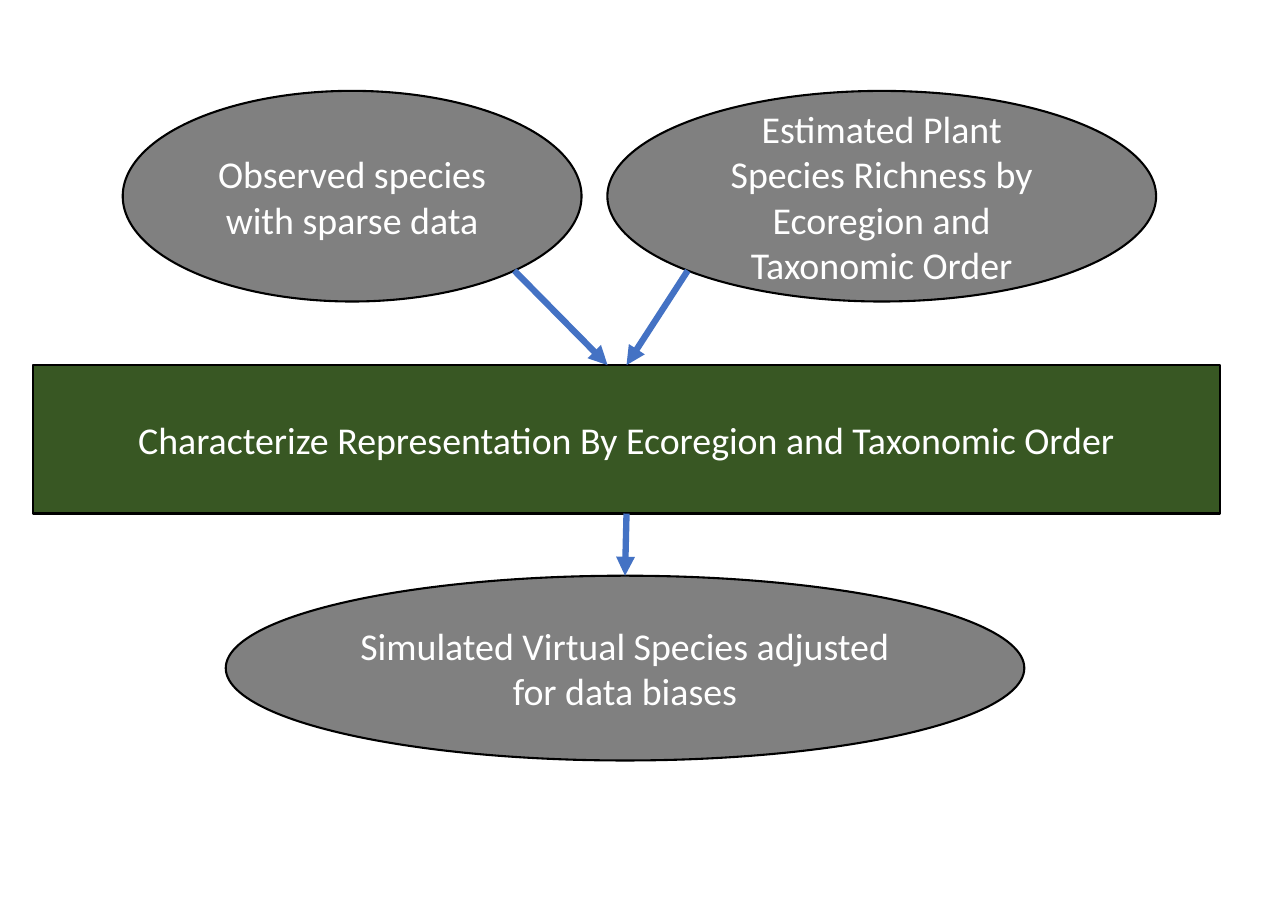
from dataclasses import dataclass
from math import sqrt

from lxml import etree
from pptx import Presentation
from pptx.dml.color import RGBColor
from pptx.enum.shapes import MSO_CONNECTOR, MSO_SHAPE
from pptx.enum.text import MSO_ANCHOR, PP_ALIGN
from pptx.oxml.ns import qn
from pptx.util import Inches, Pt

OVAL, RECT = MSO_SHAPE.OVAL, MSO_SHAPE.RECTANGLE
LINE = MSO_CONNECTOR.STRAIGHT
MIDDLE, CENTER = MSO_ANCHOR.MIDDLE, PP_ALIGN.CENTER
WIDTH, HEIGHT = 8.5, 6
COLS, ROWS = 85, 60
DIAG = (1 + sqrt(0.5)) / 2


@dataclass(frozen=True)
class Theme:
    """Colours, font and sizes of the slide."""
    data: str = "808080"
    step: str = "385723"
    edge: str = "000000"
    text: str = "FFFFFF"
    arrow: str = "4472C4"
    font: str = "Calibri"
    size: float = 18
    thin: float = 1
    thick: float = 3


THEME = Theme()


def color(code):
    """Turn a hex code into a colour."""
    return RGBColor.from_string(code)


def place(col, row):
    """Turn a grid point into slide lengths."""
    return Inches(col * WIDTH / COLS), Inches(row * HEIGHT / ROWS)


def point(box, across, down):
    """Find the grid point at a share of a box."""
    col, row, wide, high = box
    return col + across * wide, row + down * high


def node(slide, kind, box, fill, text):
    """Draw an outlined shape with centred text."""
    shape = slide.shapes.add_shape(kind, *place(*box[:2]), *place(*box[2:]))
    shape.shadow.inherit = False
    shape.fill.solid()
    shape.fill.fore_color.rgb = color(fill)
    shape.line.color.rgb = color(THEME.edge)
    shape.line.width = Pt(THEME.thin)
    frame = shape.text_frame
    frame.word_wrap = True
    frame.vertical_anchor = MIDDLE
    frame.text = text
    para = frame.paragraphs[0]
    para.alignment = CENTER
    para.font.name = THEME.font
    para.font.size = Pt(THEME.size)
    para.font.color.rgb = color(THEME.text)


def arrow(slide, start, end):
    """Draw an arrow between two grid points."""
    link = slide.shapes.add_connector(LINE, *place(*start), *place(*end))
    link.line.color.rgb = color(THEME.arrow)
    link.line.width = Pt(THEME.thick)
    etree.SubElement(link.line._get_or_add_ln(), qn("a:tailEnd"), type="triangle")
    etree.SubElement(link._element.spPr, qn("a:effectLst"))


def inputs(slide, box):
    """Draw the two data sources and return where their arrows leave."""
    col, row, wide, high = box
    left = (col, row, 0.444 * wide, high)
    right = (col + 0.469 * wide, row, 0.531 * wide, high)
    node(slide, OVAL, left, THEME.data, "Observed species with sparse data")
    node(slide, OVAL, right, THEME.data,
         "Estimated Plant Species Richness by Ecoregion and Taxonomic Order")
    return point(left, DIAG, DIAG), point(right, 1 - DIAG, DIAG)


def process(slide, box):
    """Draw the step that joins the sources."""
    node(slide, RECT, box, THEME.step,
         "Characterize Representation By Ecoregion and Taxonomic Order")


def result(slide, box):
    """Draw the outcome of the flow."""
    node(slide, OVAL, box, THEME.data,
         "Simulated Virtual Species adjusted for data biases")


def flow(slide):
    """Lay out the regions and link them."""
    top, mid, low = (8.1, 6, 68.2, 13.9), (2.2, 24.1, 78.3, 9.8), (14.9, 38, 52.7, 12.2)
    first, second = inputs(slide, top)
    process(slide, mid)
    result(slide, low)
    arrow(slide, first, point(mid, 0.484, 0))
    arrow(slide, second, point(mid, 0.5, 0))
    arrow(slide, point(mid, 0.5, 1), point(low, 0.5, 0))


def main():
    """Build and save the slide."""
    deck = Presentation()
    deck.slide_width, deck.slide_height = Inches(WIDTH), Inches(HEIGHT)
    flow(deck.slides.add_slide(deck.slide_layouts[6]))
    deck.save("out.pptx")


if __name__ == "__main__":
    main()
